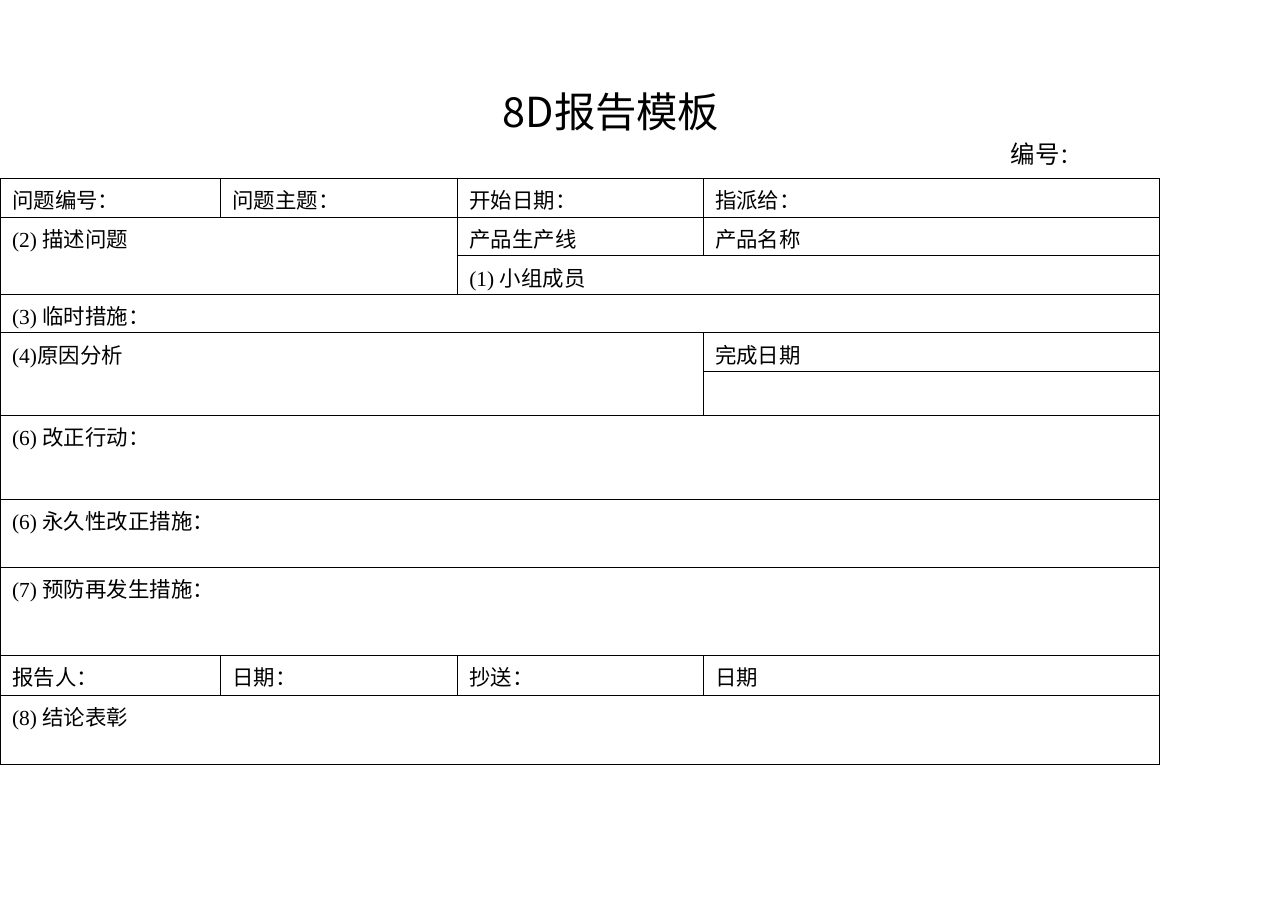
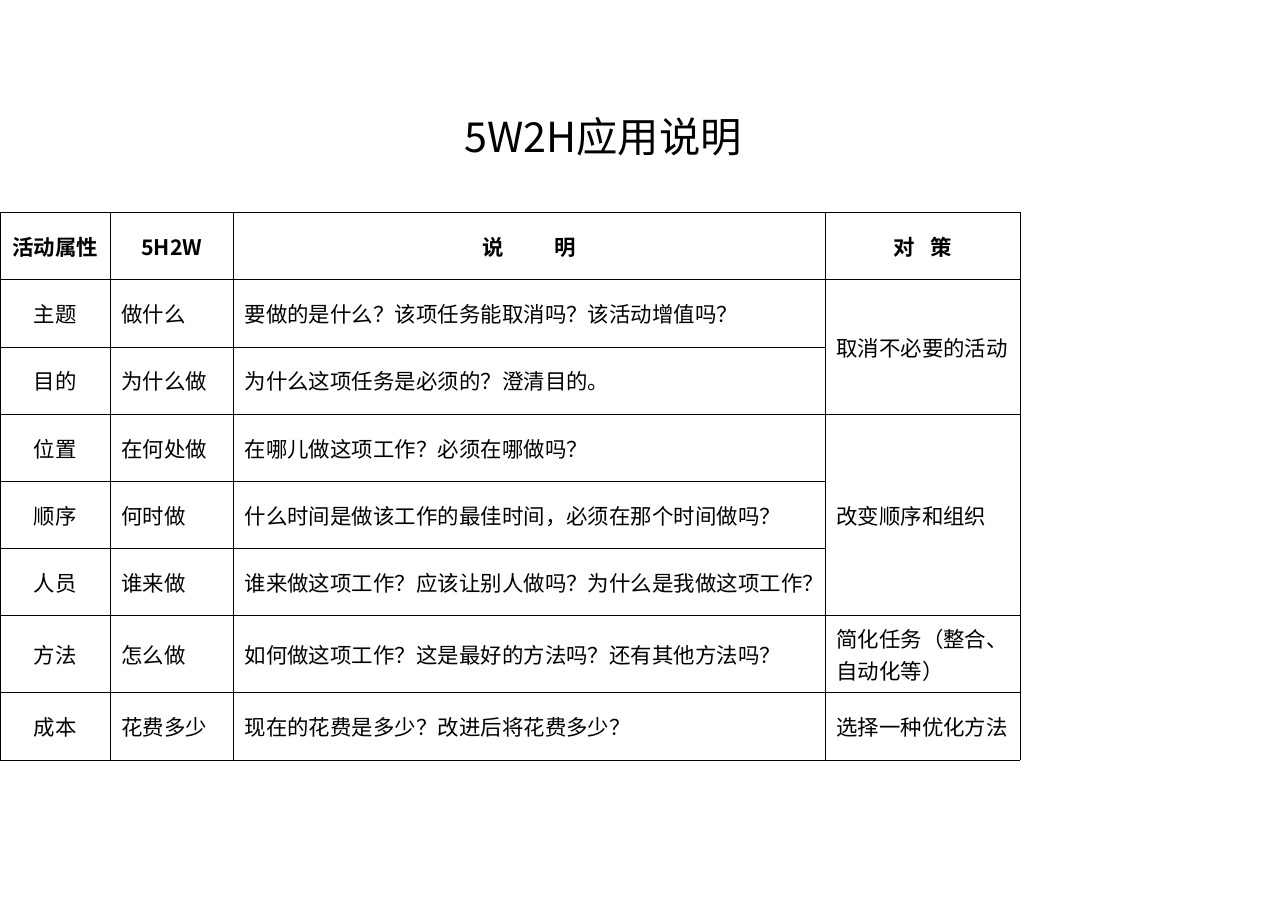
import pptx
import pptx.dml.color
import pptx.enum.text
import pptx.oxml
import pptx.oxml.ns
import pptx.util
from lxml import etree

Inches = pptx.util.Inches
Pt = pptx.util.Pt
Align = pptx.enum.text.PP_ALIGN
Anchor = pptx.enum.text.MSO_ANCHOR
qn = pptx.oxml.ns.qn

# Shared style
INK = "000000"
SANS = "Noto Sans CJK SC"
SERIF = "Times New Roman"
TITLE_SIZE = 27
BODY_SIZE = 14
BORDER_PT = 0.45


def colour(hex_code):
    return pptx.dml.color.RGBColor.from_string(hex_code)


def style_paragraph(paragraph, face, size=None, bold=None, align=None):
    if align is not None:
        paragraph.alignment = align
    font = paragraph.font
    font.color.rgb = colour(INK)
    font.name = face
    font.bold = bold
    if size:
        font.size = Pt(size)
    # Chinese characters always take the sans face
    defaults = paragraph._p.pPr.find(qn("a:defRPr"))
    etree.SubElement(defaults, qn("a:ea")).set("typeface", SANS)


def add_label(slide, box, runs, face, anchor=Anchor.MIDDLE, wrap=False):
    """A centred line of text made of (text, size) runs."""
    frame = slide.shapes.add_textbox(*map(Inches, box)).text_frame
    frame.word_wrap = wrap
    frame.vertical_anchor = anchor
    frame.margin_left = frame.margin_right = Inches(0.11)
    frame.margin_top = frame.margin_bottom = Inches(0.06)
    if not wrap:
        frame.auto_size = pptx.enum.text.MSO_AUTO_SIZE.SHAPE_TO_FIT_TEXT
    line = frame.paragraphs[0]
    style_paragraph(line, face, align=Align.CENTER)
    for text, size in runs:
        run = line.add_run()
        run.text = text
        run.font.size = Pt(size)


def add_title(slide, box, text, **layout):
    add_label(slide, box, [(text, TITLE_SIZE)], SANS, **layout)


def draw_borders(cell):
    properties = cell._tc.get_or_add_tcPr()
    for side in ("lnL", "lnR", "lnT", "lnB"):
        line = etree.SubElement(properties, qn(f"a:{side}"), w=str(Pt(BORDER_PT)))
        fill = etree.SubElement(line, qn("a:solidFill"))
        etree.SubElement(fill, qn("a:srgbClr"), val=INK)
    cell.fill.background()


def add_grid(slide, left, top, widths, heights, rows, merges, fill_cell):
    """A bordered table; fill_cell(cell, text, row, column) writes each text."""
    table = slide.shapes.add_table(
        len(heights), len(widths), Inches(left), Inches(top),
        Inches(sum(widths)), Inches(sum(heights))).table
    table.first_row = table.horz_banding = False
    for column, width in zip(table.columns, widths):
        column.width = Inches(width)
    for row, height in zip(table.rows, heights):
        row.height = Inches(height)
    for cell in table.iter_cells():
        draw_borders(cell)
    for r1, c1, r2, c2 in merges:
        table.cell(r1, c1).merge(table.cell(r2, c2))
    for r, texts in enumerate(rows):
        for c, text in enumerate(texts):
            if text:
                fill_cell(table.cell(r, c), text, r, c)


def set_margins(cell, side):
    cell.margin_left = cell.margin_right = Inches(side)
    cell.margin_top = cell.margin_bottom = Inches(0.05)


def fill_report_cell(cell, text, row, column):
    set_margins(cell, 0.11)
    paragraph = cell.text_frame.paragraphs[0]
    paragraph.text = text
    hanging = Inches(0.38)
    properties = paragraph._p.get_or_add_pPr()
    properties.set("marL", str(hanging))
    properties.set("indent", str(-hanging))
    style_paragraph(paragraph, SERIF, BODY_SIZE)


# Letter spacing, in points, of the headings that are spread out
HEADING_SPREAD = {"说 明": 15, "对 策": 3.5}


def fill_guide_cell(cell, text, row, column):
    set_margins(cell, 0.1)
    cell.vertical_anchor = Anchor.MIDDLE
    paragraph = cell.text_frame.paragraphs[0]
    centred = row == 0 or column == 0
    style_paragraph(paragraph, SANS, BODY_SIZE, bold=row == 0,
                    align=Align.CENTER if centred else None)
    if text in HEADING_SPREAD:
        spread = paragraph.add_run()
        spread.text, text = text[:-1], text[-1]
        spread.font._element.set("spc", str(int(HEADING_SPREAD[spread.text + text] * 100)))
    paragraph.add_run().text = text


def build_report(slide):
    add_title(slide, (4.39, 0.73, 2.31, 0.56), "8D报告模板")
    rows = [
        ["问题编号：", "问题主题：", "开始日期：", "指派给："],
        ["(2) 描述问题", None, "产品生产线", "产品名称"],
        [None, None, "(1) 小组成员", None],
        ["(3) 临时措施："],
        ["(4)原因分析", None, None, "完成日期"],
        [],
        ["(6) 改正行动："],
        ["(6) 永久性改正措施："],
        ["(7) 预防再发生措施："],
        ["报告人：", "日期：", "抄送：", "日期"],
        ["(8) 结论表彰"],
    ]
    full_rows = [(r, 0, r, 3) for r, texts in enumerate(rows) if len(texts) == 1]
    merges = [(1, 0, 2, 1), (2, 2, 2, 3), (4, 0, 5, 2)] + full_rows
    add_grid(slide, 0, 1.62, [2, 2.15, 2.23, 4.14],
             [0.35] * 6 + [0.76, 0.62, 0.8, 0.36, 0.63],
             rows, merges, fill_report_cell)
    add_label(slide, (9.06, 1.21, 0.87, 0.38), [("编号", 16), ("：", 14)], "Calibri")


def build_guide(slide):
    add_title(slide, (1.7, 0.95, 7.55, 0.69), "5W2H应用说明",
              anchor=Anchor.TOP, wrap=True)
    rows = [
        ["活动属性", "5H2W", "说 明", "对 策"],
        ["主题", "做什么", "要做的是什么？该项任务能取消吗？该活动增值吗？", "取消不必要的活动"],
        ["目的", "为什么做", "为什么这项任务是必须的？澄清目的。"],
        ["位置", "在何处做", "在哪儿做这项工作？必须在哪做吗？", "改变顺序和组织"],
        ["顺序", "何时做", "什么时间是做该工作的最佳时间，必须在那个时间做吗？"],
        ["人员", "谁来做", "谁来做这项工作？应该让别人做吗？为什么是我做这项工作？"],
        ["方法", "怎么做", "如何做这项工作？这是最好的方法吗？还有其他方法吗？",
         "简化任务（整合、自动化等）"],
        ["成本", "花费多少", "现在的花费是多少？改进后将花费多少？", "选择一种优化方法"],
    ]
    add_grid(slide, 0, 1.93, [1, 1.12, 5.37, 1.77],
             [0.61] * 6 + [0.7, 0.61],
             rows, [(1, 3, 2, 3), (3, 3, 5, 3)], fill_guide_cell)


def main():
    deck = pptx.Presentation()
    deck.slide_width, deck.slide_height = Inches(11.69), Inches(8.27)
    blank = deck.slide_layouts[6]
    for build in (build_report, build_guide):
        build(deck.slides.add_slide(blank))
    deck.save("out.pptx")


if __name__ == "__main__":
    main()
